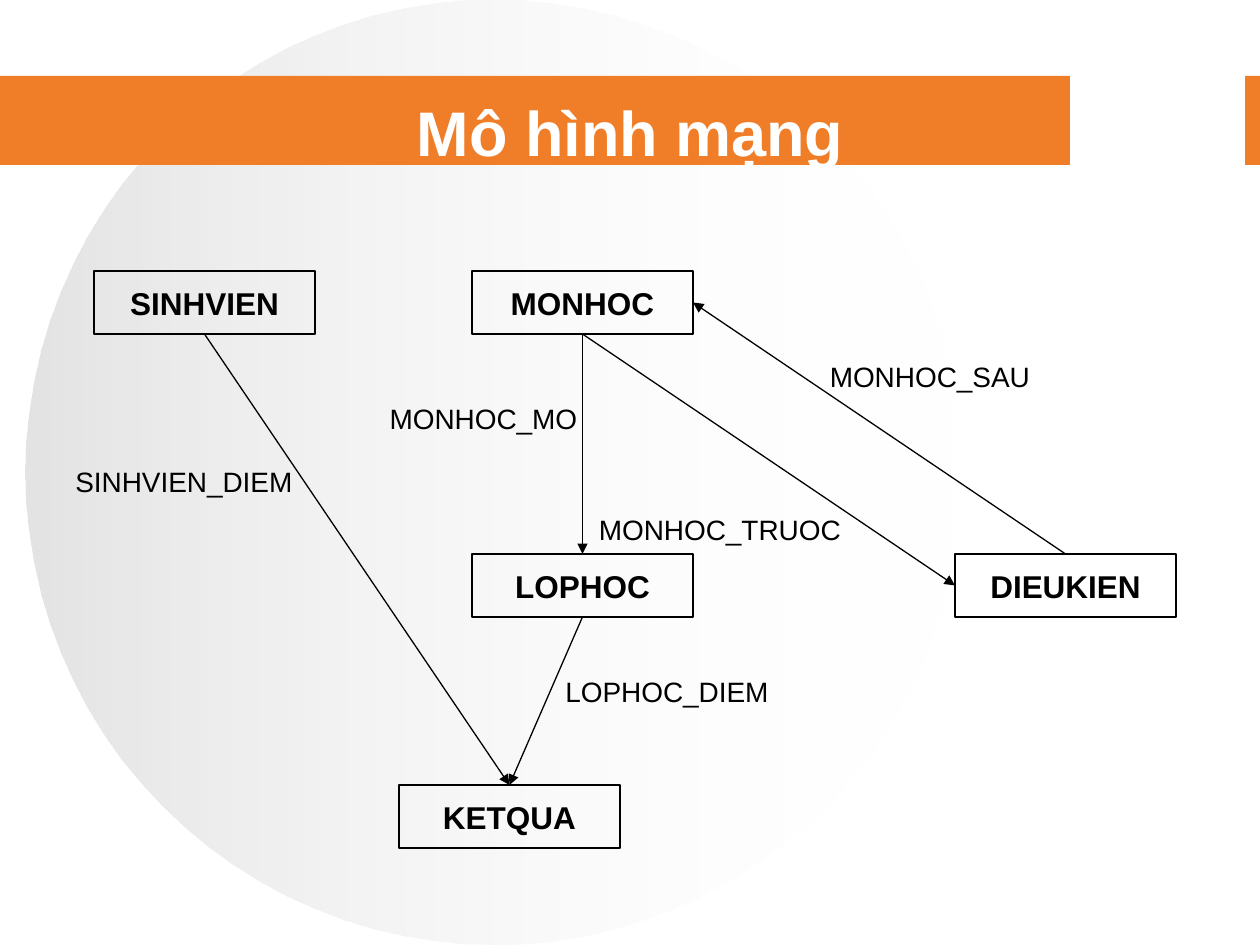
"""Build the slide that shows a network data model."""
from dataclasses import dataclass
from lxml import etree
from pptx import Presentation
from pptx.dml.color import RGBColor
from pptx.enum.shapes import MSO_CONNECTOR, MSO_SHAPE
from pptx.enum.text import MSO_ANCHOR, MSO_AUTO_SIZE, PP_ALIGN
from pptx.oxml.ns import qn
from pptx.util import Pt

RECT, OVAL = MSO_SHAPE.RECTANGLE, MSO_SHAPE.OVAL
STRAIGHT = MSO_CONNECTOR.STRAIGHT
MIDDLE, CENTER = MSO_ANCHOR.MIDDLE, PP_ALIGN.CENTER
NO_FIT = MSO_AUTO_SIZE.NONE
TOP, LEFT, BOTTOM, RIGHT = range(4)


@dataclass(frozen=True)
class Theme:
    font: str = "Arial"
    ink: str = "000000"
    paper: str = "FFFFFF"
    band: str = "F07D27"
    shade: str = "C0C0C0"
    title: int = 36
    node: int = 18
    label: int = 16
    line: float = 0.75


THEME = Theme()
SCALE = 914400 / 126
SIZE = (1260, 945)
TITLE = ("Mô hình mạng", (32, 87, 1197, 88))
DISC = (25, 0, 937, 945)
BAND = (0, 76, 1260, 89)
GAP = (1071, 76, 173, 89)
FADE = ((THEME.shade, 44), (THEME.paper, 0))

NODE_W, NODE_H = 221, 63
NODES = {
    "SINHVIEN": (94, 271),
    "KETQUA": (399, 785),
    "MONHOC": (472, 271),
    "LOPHOC": (472, 554),
    "DIEUKIEN": (955, 554),
}
LINKS = [
    ("SINHVIEN", BOTTOM, "KETQUA", TOP),
    ("LOPHOC", BOTTOM, "KETQUA", TOP),
    ("MONHOC", BOTTOM, "LOPHOC", TOP),
    ("MONHOC", BOTTOM, "DIEUKIEN", LEFT),
    ("DIEUKIEN", TOP, "MONHOC", RIGHT),
]
LABEL_H = 42
LABELS = [
    ("SINHVIEN_DIEM", 53, 460, 262),
    ("MONHOC_MO", 368, 397, 231),
    ("MONHOC_SAU", 809, 355, 242),
    ("MONHOC_TRUOC", 599, 508, 242),
    ("LOPHOC_DIEM", 546, 670, 242),
]


def emu(*px):
    return [round(n * SCALE) for n in px]


def rgb(code):
    return RGBColor.from_string(code)


def write(shape, text, *, size, color=THEME.ink, bold=False, wrap=False):
    frame = shape.text_frame
    frame.auto_size = NO_FIT
    frame.word_wrap = wrap
    frame.vertical_anchor = MIDDLE
    para = frame.paragraphs[0]
    para.alignment = CENTER
    run = para.add_run()
    run.text = text
    font = run.font
    font.name, font.size, font.bold = THEME.font, Pt(size), bold
    font.color.rgb = rgb(color)


def stroke(line, color):
    line.color.rgb = rgb(color)
    line.width = Pt(THEME.line)


def draw(slide, kind, box, fill=None, line=None):
    shape = slide.shapes.add_shape(kind, *emu(*box))
    shape.shadow.inherit = False
    if fill:
        shape.fill.solid()
        shape.fill.fore_color.rgb = rgb(fill)
    else:
        shape.fill.background()
    if line:
        stroke(shape.line, line)
    else:
        shape.line.fill.background()
    return shape


def fade(shape):
    shape.fill.gradient()
    shape.fill.gradient_angle = 0
    for stop, (color, alpha) in zip(shape.fill.gradient_stops, FADE):
        stop.color.rgb = rgb(color)
    tags = shape.fill._xPr.iter(qn("a:srgbClr"))
    for tag, (color, alpha) in zip(tags, FADE):
        etree.SubElement(tag, qn("a:alpha"), val=str(alpha * 1000))


def link(slide, start, out, end, into):
    arrow = slide.shapes.add_connector(STRAIGHT, 0, 0, 0, 0)
    arrow.begin_connect(start, out)
    arrow.end_connect(end, into)
    stroke(arrow.line, THEME.ink)
    etree.SubElement(arrow.line._get_or_add_ln(), qn("a:tailEnd"), type="triangle")
    etree.SubElement(arrow._element.spPr, qn("a:effectLst"))


def main():
    deck = Presentation()
    deck.slide_width, deck.slide_height = emu(*SIZE)
    slide = deck.slides.add_slide(deck.slide_layouts[5])

    fade(draw(slide, OVAL, DISC))
    draw(slide, RECT, BAND, THEME.band)
    draw(slide, RECT, GAP, THEME.paper, THEME.paper)

    text, box = TITLE
    title = slide.shapes.title
    title.left, title.top, title.width, title.height = emu(*box)
    write(title, text, size=THEME.title, color=THEME.paper, bold=True, wrap=True)
    slide.shapes._spTree.append(title._element)

    nodes = {}
    for name, spot in NODES.items():
        nodes[name] = draw(slide, RECT, (*spot, NODE_W, NODE_H), line=THEME.ink)
        write(nodes[name], name, size=THEME.node, bold=True)

    for start, out, end, into in LINKS:
        link(slide, nodes[start], out, nodes[end], into)

    for text, left, top, width in LABELS:
        label = slide.shapes.add_textbox(*emu(left, top, width, LABEL_H))
        write(label, text, size=THEME.label)

    deck.save("out.pptx")


if __name__ == "__main__":
    main()
